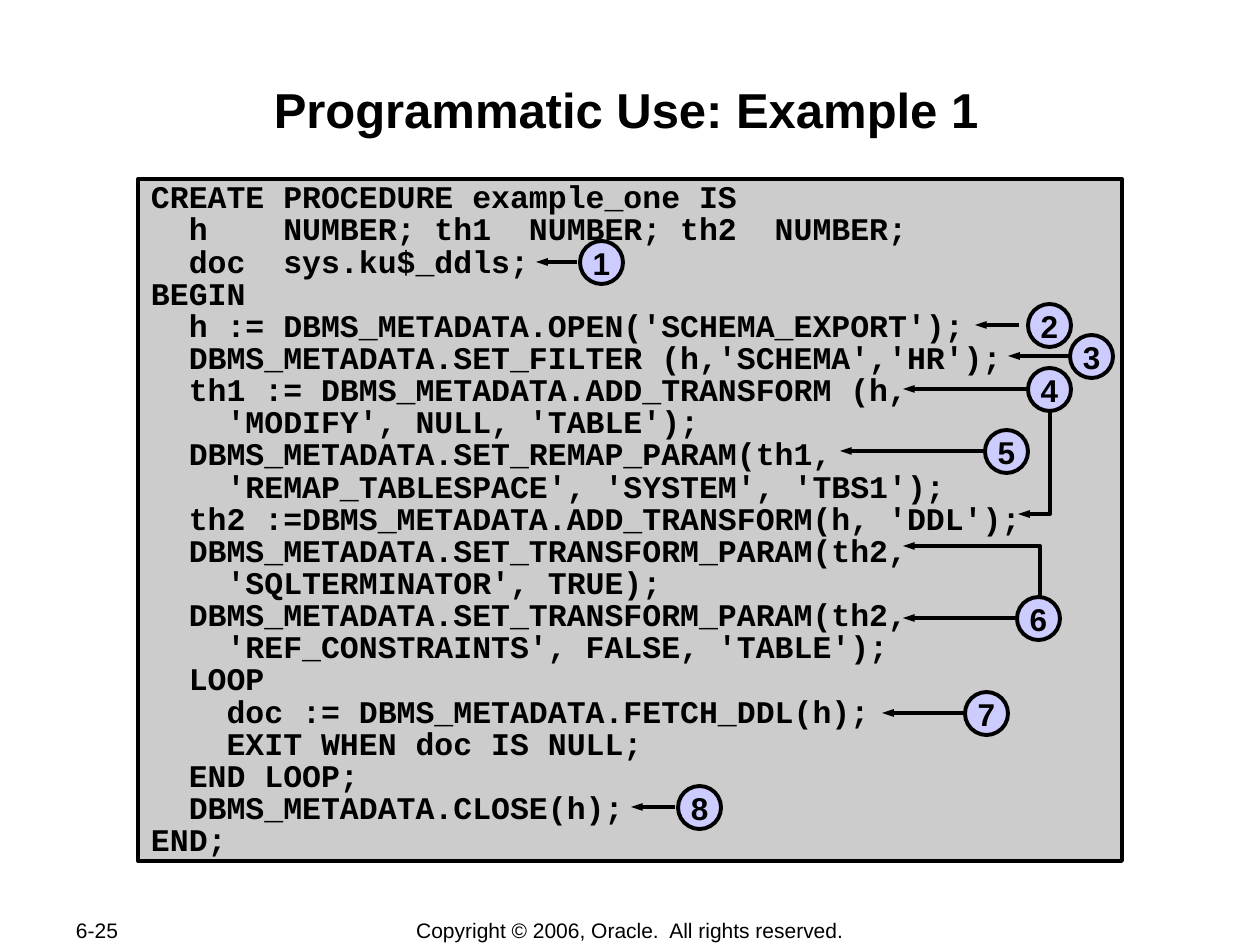
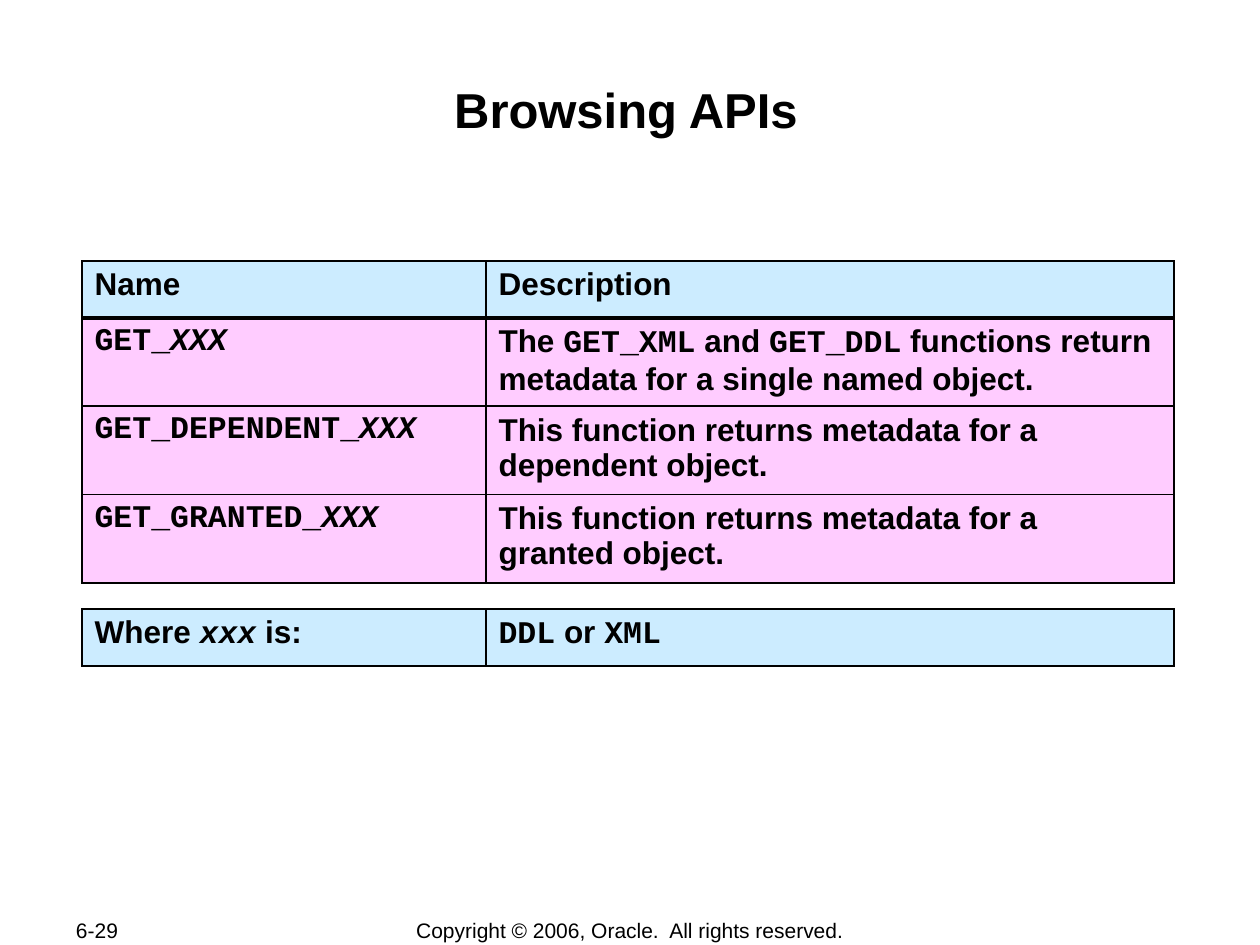
"""Builds two slides on a metadata API: an annotated procedure and a table of browsing functions."""
from lxml.etree import SubElement
from pptx import Presentation
from pptx.dml.color import RGBColor
from pptx.enum.shapes import MSO_CONNECTOR as CONNECTOR, MSO_SHAPE as SHAPE
from pptx.enum.text import MSO_ANCHOR as ANCHOR, PP_ALIGN as ALIGN
from pptx.oxml.ns import qn
from pptx.util import Emu, Pt

BLACK = RGBColor(0x00, 0x00, 0x00)
CODE_GREY = RGBColor(0xCC, 0xCC, 0xCC)
CALLOUT_LILAC = RGBColor(0xCC, 0xCC, 0xFF)
HEADER_BLUE = RGBColor(0xCC, 0xEC, 0xFF)
BODY_PINK = RGBColor(0xFF, 0xCC, 0xFF)

SANS, MONO = "Arial", "Courier New"
STYLES = {"sans": (SANS, False), "mono": (MONO, False), "slanted": (MONO, True)}
LINE_WIDTH = Pt(2.25)
THIN, THICK = Pt(1.08), Pt(2.21)

COPYRIGHT = "Copyright © 2006, Oracle.  All rights reserved."

CODE_TITLE, CODE_PAGE = "Programmatic Use: Example 1", "6-25"
CODE = """CREATE PROCEDURE example_one IS
  h    NUMBER; th1  NUMBER; th2  NUMBER;
  doc  sys.ku$_ddls;
BEGIN
  h := DBMS_METADATA.OPEN('SCHEMA_EXPORT');
  DBMS_METADATA.SET_FILTER (h,'SCHEMA','HR');
  th1 := DBMS_METADATA.ADD_TRANSFORM (h,
    'MODIFY', NULL, 'TABLE');
  DBMS_METADATA.SET_REMAP_PARAM(th1,
    'REMAP_TABLESPACE', 'SYSTEM', 'TBS1');
  th2 :=DBMS_METADATA.ADD_TRANSFORM(h, 'DDL');
  DBMS_METADATA.SET_TRANSFORM_PARAM(th2,
    'SQLTERMINATOR', TRUE);
  DBMS_METADATA.SET_TRANSFORM_PARAM(th2,
    'REF_CONSTRAINTS', FALSE, 'TABLE');
  LOOP
    doc := DBMS_METADATA.FETCH_DDL(h);
    EXIT WHEN doc IS NULL;
  END LOOP;
  DBMS_METADATA.CLOSE(h);
END;"""

CALLOUT_SIZE = 43
# fmt: left, top, arrow start, arrow tip
CALLOUTS = [
    (580, 241, 577, 536),
    (1028, 304, 1019, 975),
    (1070, 335, 1071, 1008),
    (1028, 368, 1029, 903),
    (985, 430, 985, 840),
    (1017, 597, 1016, 903),
    (965, 692, 965, 882),
    (678, 786, 675, 631),
]
ELBOWS = [
    [(1050, 410), (1050, 514), (1018, 514)],
    [(1040, 599), (1040, 546), (903, 546)],
]

API_TITLE, API_PAGE = "Browsing APIs", "6-29"
COLUMN_WIDTHS = [404, 688]
HEADER_HEIGHT, BODY_HEIGHT = 57, 88
FUNCTION_ROWS = [
    ([("sans", "Name")], [("sans", "Description")]),
    ([("mono", "GET_"), ("slanted", "XXX")],
     [("sans", "The "), ("mono", "GET_XML"), ("sans", " and "), ("mono", "GET_DDL"),
      ("sans", " functions return metadata for a single named object.")]),
    ([("mono", "GET_DEPENDENT_"), ("slanted", "XXX")],
     [("sans", "This function returns metadata for a dependent object.")]),
    ([("mono", "GET_GRANTED_"), ("slanted", "XXX")],
     [("sans", "This function returns metadata for a granted object.")]),
]
WHERE_ROWS = [
    ([("sans", "Where "), ("slanted", "xxx"), ("sans", " is:")],
     [("mono", "DDL"), ("sans", " or "), ("mono", "XML")]),
]


def px(length):
    return Emu(round(length * 914400 / 126))


def style_font(font, size, name=SANS, bold=True, italic=False):
    font.size, font.name, font.bold, font.italic = Pt(size), name, bold, italic
    font.color.rgb = BLACK


def fill_text(shape, text, size, align, inset, name=SANS, bold=True, anchor=ANCHOR.TOP):
    frame = shape.text_frame
    frame.text = text
    frame.word_wrap = True
    frame.vertical_anchor = anchor
    frame.margin_left = frame.margin_right = px(inset[0])
    frame.margin_top = frame.margin_bottom = px(inset[1])
    for paragraph in frame.paragraphs:
        paragraph.alignment = align
        for run in paragraph.runs:
            style_font(run.font, size, name, bold)
    return frame


def add_text(slide, box, *text_options, **more):
    fill_text(slide.shapes.add_textbox(*map(px, box)), *text_options, **more)


def add_panel(slide, kind, box, color):
    shape = slide.shapes.add_shape(kind, *map(px, box))
    shape.shadow.inherit = False
    shape.fill.solid()
    shape.fill.fore_color.rgb = color
    outline(shape)
    return shape


def outline(shape):
    shape.line.color.rgb = BLACK
    shape.line.width = LINE_WIDTH


def add_arrowhead(shape):
    line = shape._element.spPr.find(qn("a:ln"))
    SubElement(line, qn("a:tailEnd"), type="triangle", w="sm", len="med")


def add_arrow(slide, start, tip, y):
    arrow = slide.shapes.add_connector(CONNECTOR.STRAIGHT, *map(px, (start, y, tip, y)))
    outline(arrow)
    add_arrowhead(arrow)
    SubElement(arrow._element.spPr, qn("a:effectLst"))


def add_elbow(slide, points):
    start, *others = [(px(x), px(y)) for x, y in points]
    builder = slide.shapes.build_freeform(*start)
    builder.add_line_segments(others, close=False)
    elbow = builder.convert_to_shape()
    elbow.shadow.inherit = False
    elbow.fill.background()
    outline(elbow)
    add_arrowhead(elbow)


def add_borders(cell, bottom, top):
    properties = cell._tc.get_or_add_tcPr()
    for side, width in (("L", THIN), ("R", THIN), ("T", top), ("B", bottom)):
        border = SubElement(properties, qn(f"a:ln{side}"), w=str(int(width)))
        color = SubElement(SubElement(border, qn("a:solidFill")), qn("a:srgbClr"))
        color.set("val", str(BLACK))


def add_grid(slide, left, top, rows):
    heights = [HEADER_HEIGHT] + [BODY_HEIGHT] * (len(rows) - 1)
    box = (left, top, sum(COLUMN_WIDTHS), sum(heights))
    table = slide.shapes.add_table(len(rows), len(COLUMN_WIDTHS), *map(px, box)).table
    for column, width in zip(table.columns, COLUMN_WIDTHS):
        column.width = px(width)
    for i, (cells, height) in enumerate(zip(rows, heights)):
        table.rows[i].height = px(height)
        under_header = THICK if len(rows) > 1 else THIN
        for j, pieces in enumerate(cells):
            cell = table.cell(i, j)
            add_borders(cell, under_header if i == 0 else THIN, THICK if i == 1 else THIN)
            cell.fill.solid()
            cell.fill.fore_color.rgb = BODY_PINK if i else HEADER_BLUE
            for style, text in pieces:
                run = cell.text_frame.paragraphs[0].add_run()
                run.text = text
                name, italic = STYLES[style]
                style_font(run.font, 18, name, italic=italic)


def add_base_slide(presentation, title, page):
    slide = presentation.slides.add_slide(presentation.slide_layouts[6])
    footer = {"bold": False, "anchor": ANCHOR.MIDDLE}
    add_text(slide, (63, 917, 134, 26), page, 12, ALIGN.LEFT, (13, 0), **footer)
    add_text(slide, (347, 917, 566, 26), COPYRIGHT, 12, ALIGN.CENTER, (13, 0), **footer)
    add_text(slide, (122, 79, 1008, 115), title, 28, ALIGN.CENTER, (1, 1))
    return slide


def add_code_slide(presentation):
    slide = add_base_slide(presentation, CODE_TITLE, CODE_PAGE)
    panel = add_panel(slide, SHAPE.RECTANGLE, (138, 179, 984, 682), CODE_GREY)
    frame = fill_text(panel, CODE, 18, ALIGN.LEFT, (13, 4), name=MONO)
    for paragraph in frame.paragraphs:
        paragraph.line_spacing = Pt(18.36)
    for number, (left, top, start, tip) in enumerate(CALLOUTS, 1):
        box = (left, top, CALLOUT_SIZE, CALLOUT_SIZE)
        circle = add_panel(slide, SHAPE.OVAL, box, CALLOUT_LILAC)
        fill_text(circle, str(number), 18, ALIGN.CENTER, (0, 0), anchor=ANCHOR.MIDDLE)
        add_arrow(slide, start, tip, top + CALLOUT_SIZE // 2)
    for points in ELBOWS:
        add_elbow(slide, points)


def add_api_slide(presentation):
    slide = add_base_slide(presentation, API_TITLE, API_PAGE)
    add_grid(slide, 82, 261, FUNCTION_ROWS)
    add_grid(slide, 82, 609, WHERE_ROWS)


def main():
    presentation = Presentation()
    presentation.slide_width, presentation.slide_height = px(1260), px(945)
    add_code_slide(presentation)
    add_api_slide(presentation)
    presentation.save("out.pptx")


if __name__ == "__main__":
    main()
